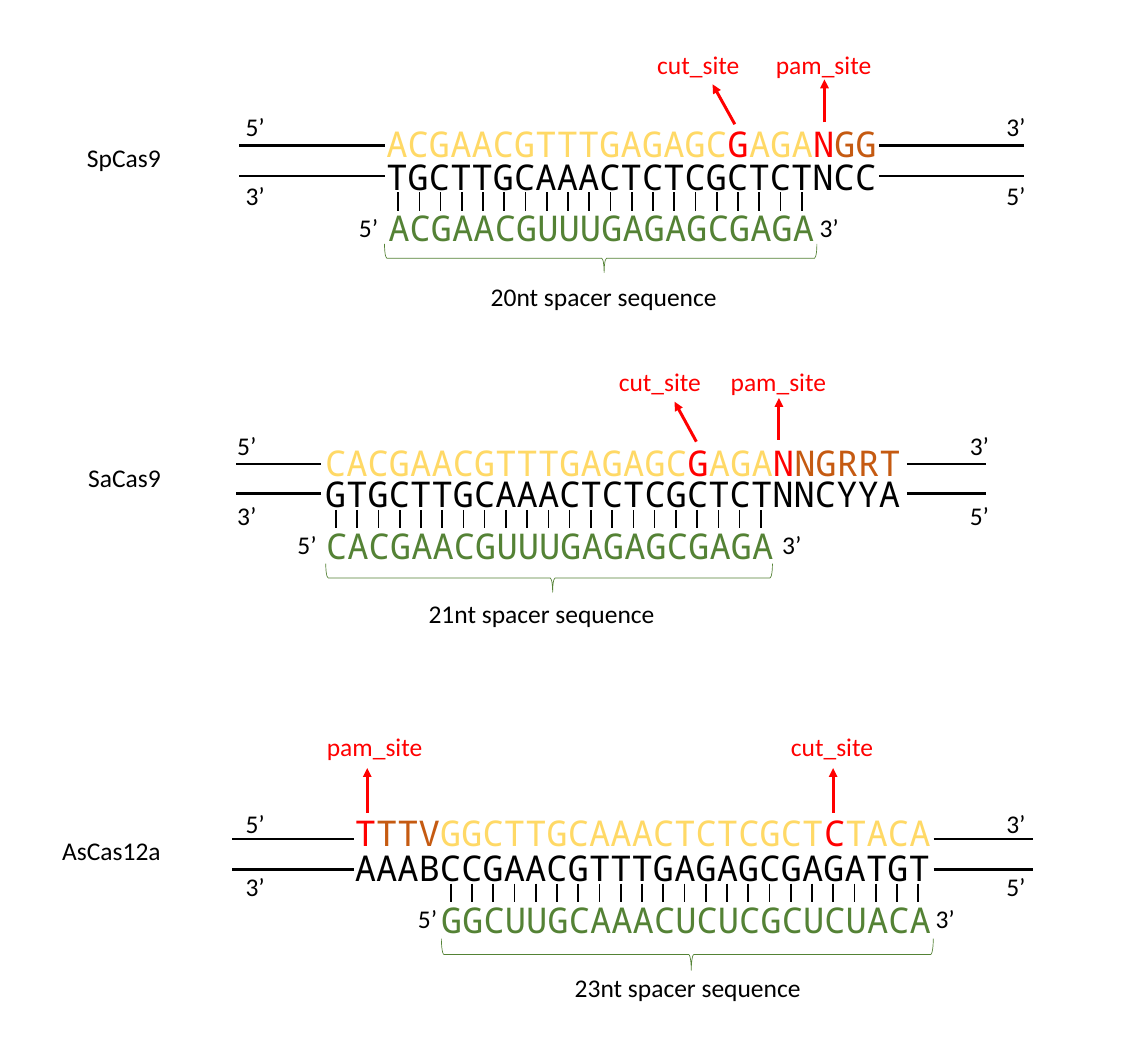
from lxml.etree import SubElement
from pptx import Presentation
from pptx.dml.color import RGBColor
from pptx.enum.shapes import MSO_CONNECTOR, MSO_SHAPE
from pptx.enum.text import MSO_AUTO_SIZE, PP_ALIGN
from pptx.oxml.ns import qn
from pptx.util import Cm, Pt

BLACK, RED, YELLOW, ORANGE, GREEN = "000000", "FF0000", "FFD966", "C55A11", "548235"
PITCH = 0.564
FIVE, THREE = "5’", "3’"

SYSTEMS = [
    dict(
        name=("SpCas9", 3.66),
        target=[("ACGAACGTTTGAGAGC", YELLOW), ("G", RED), ("AGA", YELLOW),
                ("N", RED), ("GG", ORANGE)],
        complement="TGCTTGCAAACTCTCGCTCTNCC",
        guide="ACGAACGUUUGAGAGCGAGA",
        strand_x=10.01, strand_y=(3.12, 3.99), guide_at=(10.06, 5.36),
        flanks=[(6.35, 10.21), (23.34, 27.2)], flank_y=(3.86, 4.67),
        end_x=(6.27, 26.47), end_y=(2.82, 4.67), guide_end_x=(7.29, 21.51),
        brace=(15.95, 6.48, 11.48, 0.76), spacer_x=12.78, site_y=1.17,
        sites=[("pam_site", 20.35, (21.89, 3.25, 21.89, 2.11)),
               ("cut_site", 17.2, (19.51, 3.3, 18.92, 2.24))],
    ),
    dict(
        name=("SaCas9", 12.14),
        target=[("CACGAACGTTTGAGAGC", YELLOW), ("G", RED), ("AGA", YELLOW),
                ("N", RED), ("NGRRT", ORANGE)],
        complement="GTGCTTGCAAACTCTCGCTCTNNCYYA",
        guide="CACGAACGUUUGAGAGCGAGA",
        strand_x=8.38, strand_y=(11.58, 12.42), guide_at=(8.41, 13.79),
        flanks=[(6.27, 8.53), (24.08, 26.19)], flank_y=(12.32, 13.11),
        end_x=(6.05, 25.5), end_y=(11.3, 13.16), guide_end_x=(5.66, 20.52),
        brace=(14.58, 14.97, 11.86, 0.76), spacer_x=11.13, site_y=9.6,
        sites=[("pam_site", 19.15, (20.68, 11.68, 20.68, 10.57)),
               ("cut_site", 16.18, (18.49, 11.73, 17.91, 10.67))],
    ),
    dict(
        name=("AsCas12a", 22.05),
        target=[("T", RED), ("TTV", ORANGE), ("GGCTTGCAAACTCTCGCT", YELLOW),
                ("C", RED), ("TACA", YELLOW)],
        complement="AAABCCGAACGTTTGAGAGCGAGATGT",
        guide="GGCUUGCAAACUCUCGCUCUACA",
        strand_x=9.17, strand_y=(21.41, 22.35), guide_at=(11.46, 23.72),
        flanks=[(6.17, 9.4), (24.79, 27.43)], flank_y=(22.28, 23.09),
        end_x=(6.27, 26.47), end_y=(21.34, 23.01), guide_end_x=(8.86, 24.59),
        brace=(18.25, 24.93, 13.06, 0.84), spacer_x=15.01, site_y=19.3,
        sites=[("pam_site", 8.43, (9.75, 21.59, 9.75, 20.4)),
               ("cut_site", 20.75, (22.12, 21.59, 22.12, 20.4))],
    ),
]


def rgb(color):
    return RGBColor.from_string(color)


def add_text(x, y, w, h, runs, size, font, align=PP_ALIGN.LEFT):
    tf = s.shapes.add_textbox(Cm(x), Cm(y), Cm(w), Cm(h)).text_frame
    tf.word_wrap = True
    tf.auto_size = MSO_AUTO_SIZE.SHAPE_TO_FIT_TEXT
    p = tf.paragraphs[0]
    p.alignment = align
    for text, color in runs:
        r = p.add_run()
        r.text = text
        r.font.size = Pt(size)
        r.font.name = font
        r.font.color.rgb = rgb(color)


def add_label(x, y, text, w=3, color=BLACK, align=PP_ALIGN.LEFT):
    add_text(x, y, w, 1.07, [(text, color)], 19.2, "Calibri", align)


def add_sequence(x, y, runs):
    add_text(x, y, 19.84, 1.4, runs, 26.7, "Noto Sans Mono")


def add_line(shapes, x1, y1, x2, y2, width, color=BLACK, arrow=False):
    line = shapes.add_connector(MSO_CONNECTOR.STRAIGHT, Cm(x1), Cm(y1), Cm(x2), Cm(y2))
    line.line.width = Pt(width)
    line.line.color.rgb = rgb(color)
    if arrow:
        SubElement(line.line._get_or_add_ln(), qn("a:tailEnd"), type="triangle")
    SubElement(line._element.spPr, qn("a:effectLst"))


def add_brace(center, top, span, depth):
    left, upper = center - depth / 2, top + depth / 2 - span / 2
    brace = s.shapes.add_shape(MSO_SHAPE.LEFT_BRACE, Cm(left), Cm(upper), Cm(depth), Cm(span))
    brace.rotation = 270
    brace.adjustments[0] = 0.083
    brace.adjustments[1] = 0.508
    brace.shadow.inherit = False
    brace.fill.background()
    brace.line.color.rgb = rgb(GREEN)
    brace.line.width = Pt(0.5)


def add_system(d):
    name, name_y = d["name"]
    add_label(0.52, name_y, name, w=4, align=PP_ALIGN.RIGHT)

    gx, gy = d["guide_at"]
    add_sequence(gx, gy, [(d["guide"], GREEN)])
    strands = [d["target"], [(d["complement"], BLACK)]]
    for y, runs in zip(d["strand_y"], strands):
        add_sequence(d["strand_x"], y, runs)

    for y in d["flank_y"]:
        for x1, x2 in d["flanks"]:
            add_line(s.shapes, x1, y, x2, y, 1.75)
    for y, ends in zip(d["end_y"], [(FIVE, THREE), (THREE, FIVE)]):
        for x, text in zip(d["end_x"], ends):
            add_label(x, y, text)

    pairs = s.shapes.add_group_shape()
    for i in range(len(d["guide"])):
        x = gx + 0.51 + i * PITCH
        add_line(pairs.shapes, x, gy - 0.25, x, gy + 0.24, 1.25)

    left, right = d["guide_end_x"]
    add_label(left, gy + 0.14, FIVE, align=PP_ALIGN.RIGHT)
    add_label(right, gy + 0.14, THREE)
    add_brace(*d["brace"])
    add_label(d["spacer_x"], gy + 1.98, f"{len(d['guide'])}nt spacer sequence", w=13.11)

    for text, x, arrow in d["sites"]:
        add_label(x, d["site_y"], text, w=4, color=RED)
        add_line(s.shapes, *arrow, 2.25, RED, arrow=True)


prs = Presentation()
prs.slide_width, prs.slide_height = Cm(30.48), Cm(27.94)
s = prs.slides.add_slide(prs.slide_layouts[6])
for system in SYSTEMS:
    add_system(system)
prs.save("out.pptx")
